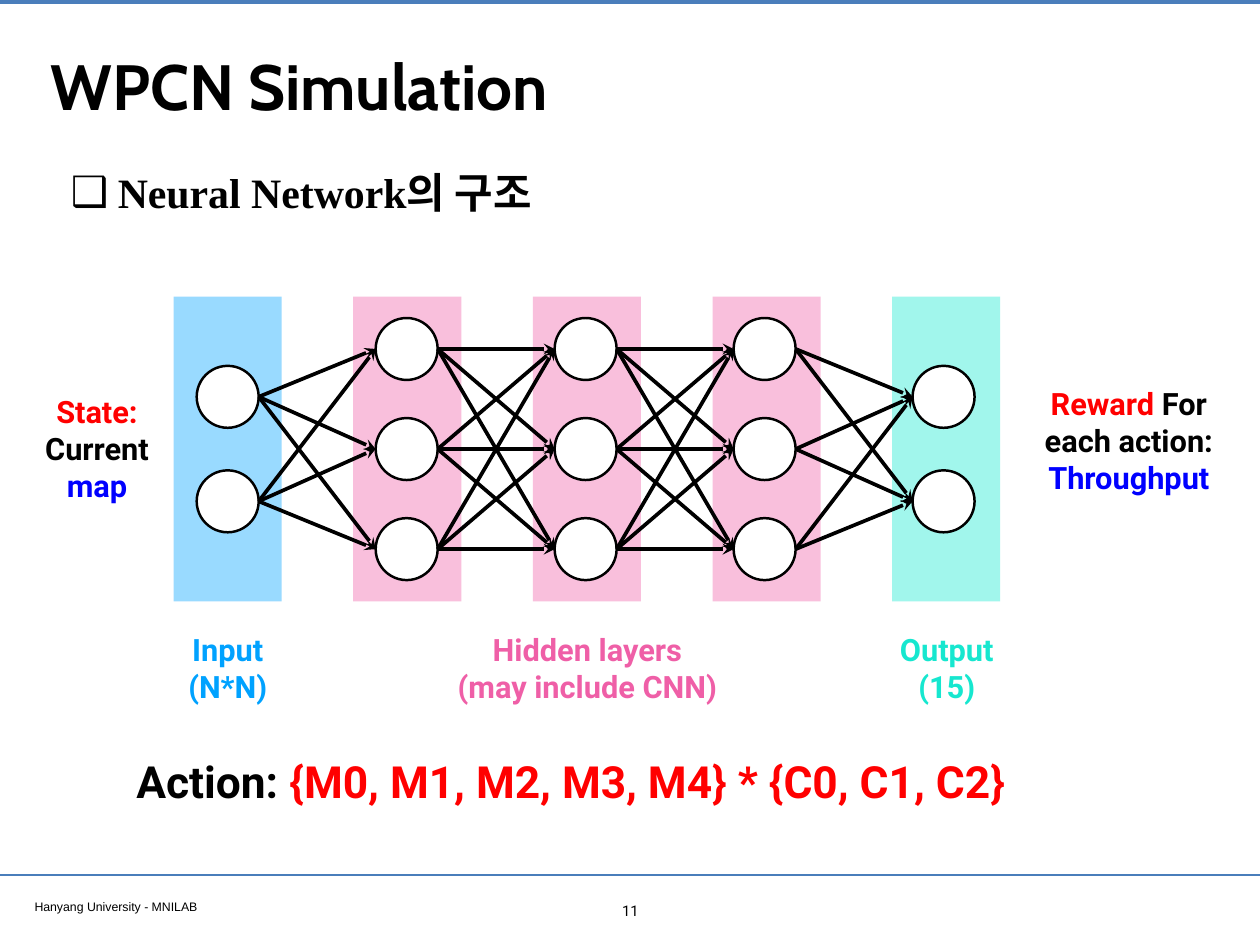
from dataclasses import dataclass
from itertools import pairwise, product

from lxml.etree import SubElement
from pptx import Presentation
from pptx.dml.color import RGBColor
from pptx.enum.shapes import MSO_CONNECTOR, MSO_SHAPE
from pptx.enum.text import MSO_ANCHOR, MSO_AUTO_SIZE, PP_ALIGN
from pptx.oxml.ns import qn
from pptx.util import Emu, Inches, Pt


@dataclass(frozen=True)
class Theme:
    # Colours
    black: str = "000000"
    white: str = "FFFFFF"
    red: str = "FF0000"
    blue: str = "0000FF"
    rule: str = "4A7EBB"
    input_text: str = "00A2FF"
    hidden_text: str = "EF5FA7"
    output_text: str = "16E7CF"
    input_band: str = "99DAFF"
    hidden_band: str = "F9BFDC"
    output_band: str = "A1F6EC"
    # Type
    heading_font: str = "Cabin"
    topic_font: str = "Times New Roman"
    label_font: str = "Roboto"
    footer_font: str = "Arial"
    heading_size: int = 52
    action_size: int = 36
    topic_size: int = 34
    label_size: int = 25
    number_size: int = 12
    footer_size: int = 10


THEME = Theme()


@dataclass(frozen=True)
class Box:
    left: int
    top: int
    width: int
    height: int

    def point(self, x, y):
        """Position given in percent of this box."""
        return (Emu(round(self.left + self.width * x / 100)),
                Emu(round(self.top + self.height * y / 100)))

    def area(self, x, y, width, height):
        """Inner box given in percent of this box."""
        return Box(*self.point(x, y), Emu(round(self.width * width / 100)),
                   Emu(round(self.height * height / 100)))

    @property
    def bounds(self):
        return self.left, self.top, self.width, self.height


def rgb(code):
    return RGBColor.from_string(code)


def style_font(paragraph, font, size, bold, color=THEME.black):
    paragraph.font.name = font
    paragraph.font.size = Pt(size)
    paragraph.font.bold = bold
    paragraph.font.color.rgb = rgb(color)


def set_insets(frame, inset):
    frame.margin_left = frame.margin_right = Inches(inset)
    frame.margin_top = frame.margin_bottom = Inches(inset)


def add_line(slide, start, end, color, width, arrow=False):
    line = slide.shapes.add_connector(MSO_CONNECTOR.STRAIGHT, *start, *end)
    line.line.color.rgb = rgb(color)
    line.line.width = Pt(width)
    if arrow:
        SubElement(line.line._get_or_add_ln(), qn("a:tailEnd"), type="stealth")
    SubElement(line._element.spPr, qn("a:effectLst"))


def add_preset(slide, preset, box, fill, outline=None):
    shape = slide.shapes.add_shape(preset, *box.bounds)
    shape.shadow.inherit = False
    shape.fill.solid()
    shape.fill.fore_color.rgb = rgb(fill)
    if outline:
        shape.line.color.rgb = rgb(outline)
        shape.line.width = Pt(2)
    else:
        shape.line.fill.background()


def add_label(slide, box, lines, font=THEME.label_font, size=THEME.label_size,
              bold=True, align=PP_ALIGN.CENTER, inset=None):
    """Each line is a list of (text, colour) pieces."""
    frame = slide.shapes.add_textbox(*box.bounds).text_frame
    frame.word_wrap = True
    if inset is not None:
        set_insets(frame, inset)
    for index, pieces in enumerate(lines):
        paragraph = frame.add_paragraph() if index else frame.paragraphs[0]
        paragraph.alignment = align
        style_font(paragraph, font, size, bold, pieces[0][1])
        for text, color in pieces:
            run = paragraph.add_run()
            run.text = text
            if len(pieces) > 1:
                run.font.color.rgb = rgb(color)


def fill_placeholder(placeholder, box, text, anchor):
    placeholder.left, placeholder.top, placeholder.width, placeholder.height = box.bounds
    frame = placeholder.text_frame
    frame.text = text
    frame.auto_size = MSO_AUTO_SIZE.NONE
    frame.vertical_anchor = anchor
    set_insets(frame, 0.06)
    paragraph = frame.paragraphs[0]
    paragraph.alignment = PP_ALIGN.LEFT
    paragraph.space_before = Pt(0)
    return paragraph


def add_heading(slide, page):
    heading = fill_placeholder(slide.shapes.title, page.area(3.59, 2.62, 92.9, 12.65),
                               "WPCN Simulation", MSO_ANCHOR.MIDDLE)
    style_font(heading, THEME.heading_font, THEME.heading_size, True)

    topic = fill_placeholder(slide.placeholders[1], page.area(5.2, 16.03, 93.88, 77.7),
                             "Neural Network의 구조", MSO_ANCHOR.TOP)
    topic.line_spacing = 1.2
    props = topic._p.get_or_add_pPr()
    props.set("marL", str(Inches(0.53)))
    props.set("indent", str(Inches(-0.53)))
    SubElement(props, qn("a:buChar"), char="❑")
    style_font(topic, THEME.topic_font, THEME.topic_size, True)


def add_frame(slide, page):
    # Rules across the top and above the footer
    for y, width in ((0.19, 3.2), (92.6, 2)):
        add_line(slide, page.point(0, y), page.point(100, y), THEME.rule, width)
    # Footer and page number
    add_label(slide, page.area(2.32, 94.56, 38.4, 2.44),
              [[("Hanyang University - MNILAB", THEME.black)]],
              THEME.footer_font, THEME.footer_size, False, PP_ALIGN.LEFT, 0.06)
    add_label(slide, page.area(48.66, 94.85, 2.74, 2.91), [[("11", THEME.black)]],
              size=THEME.number_size, bold=False, inset=0.06)


def add_network(slide, box):
    bands = [THEME.input_band, *[THEME.hidden_band] * 3, THEME.output_band]
    node_counts = [2, 3, 3, 3, 2]
    row_pitch = {2: 34.3, 3: 32.85}
    band_width, node_pitch = 13.08, 21.65
    band_pitch = (100 - band_width) / (len(bands) - 1)
    node_width = 7.5
    node_height = node_width * box.width / box.height

    # Layer bands
    for column, color in enumerate(bands):
        add_preset(slide, MSO_SHAPE.RECTANGLE,
                   box.area(column * band_pitch, 0, band_width, 100), color)

    # Node centres, each layer centred on the band's height
    layers = [[(band_width / 2 + column * node_pitch,
                50 + (row - (count - 1) / 2) * row_pitch[count])
               for row in range(count)]
              for column, count in enumerate(node_counts)]
    for x, y in (node for layer in layers for node in layer):
        add_preset(slide, MSO_SHAPE.OVAL,
                   box.area(x - node_width / 2, y - node_height / 2,
                            node_width, node_height), THEME.white, THEME.black)

    # Every node feeds every node of the next layer
    for layer, following in pairwise(layers):
        for (x1, y1), (x2, y2) in product(layer, following):
            add_line(slide, box.point(x1 + node_width / 2, y1),
                     box.point(x2 - node_width / 2, y2), THEME.black, 3, arrow=True)


def add_captions(slide, page):
    # Layer names under the bands
    for x, width, color, *lines in (
            (12.94, 10.27, THEME.input_text, "Input", "(N*N)"),
            (33.33, 26.58, THEME.hidden_text, "Hidden layers", "(may include CNN)"),
            (69.2, 11.88, THEME.output_text, "Output", "(15)")):
        add_label(slide, page.area(x, 66.26, width, 8.81),
                  [[(line, color)] for line in lines])
    # What goes in and what comes out
    add_label(slide, page.area(2.32, 41.14, 10.76, 12.75),
              [[("State:", THEME.red)], [("Current", THEME.black)], [("map", THEME.blue)]])
    add_label(slide, page.area(81.08, 40.3, 17.02, 12.75),
              [[("Reward ", THEME.red), ("For each action:", THEME.black)],
               [("Throughput", THEME.blue)]])
    # Action set
    add_label(slide, page.area(10.13, 79.38, 77.14, 6.65),
              [[("Action: ", THEME.black),
                ("{M0, M1, M2, M3, M4} * {C0, C1, C2}", THEME.red)]],
              size=THEME.action_size, align=PP_ALIGN.LEFT)


def main():
    deck = Presentation()
    deck.slide_width, deck.slide_height = Inches(14.22), Inches(10.67)
    slide = deck.slides.add_slide(deck.slide_layouts[1])
    page = Box(0, 0, deck.slide_width, deck.slide_height)
    add_frame(slide, page)
    add_heading(slide, page)
    add_network(slide, page.area(13.78, 31.4, 65.61, 32.24))
    add_captions(slide, page)
    deck.save("out.pptx")


if __name__ == "__main__":
    main()
